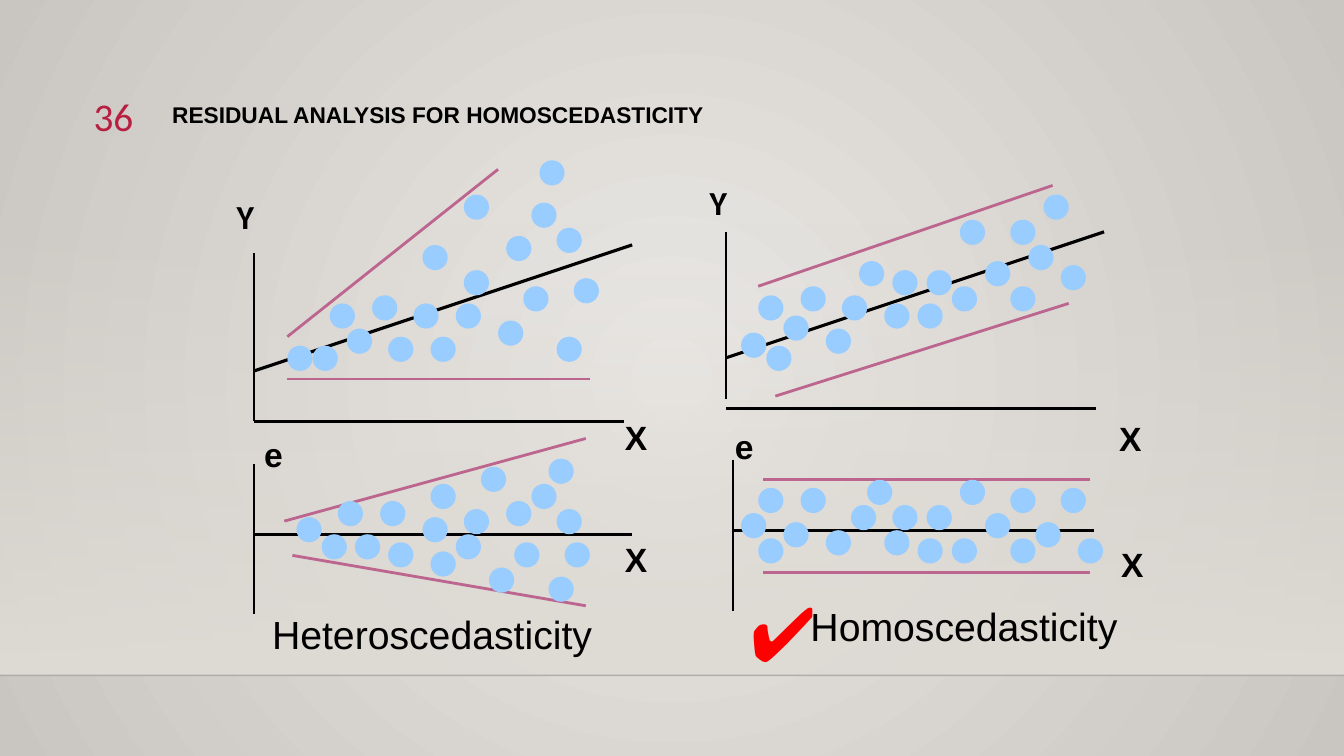
from lxml import etree
from pptx import Presentation
from pptx.dml.color import RGBColor
from pptx.enum.shapes import MSO_CONNECTOR, MSO_SHAPE
from pptx.enum.text import MSO_AUTO_SIZE, PP_ALIGN
from pptx.oxml.ns import qn
from pptx.util import Emu, Pt

LINE = MSO_CONNECTOR.STRAIGHT
OVAL, RECT = MSO_SHAPE.OVAL, MSO_SHAPE.RECTANGLE
LEFT, RIGHT = PP_ALIGN.LEFT, PP_ALIGN.RIGHT
GROW, FIXED = MSO_AUTO_SIZE.SHAPE_TO_FIT_TEXT, MSO_AUTO_SIZE.NONE

PX = 9144  # 100 px to the inch
WIDE, HIGH, FLOOR, DOT = 1333, 750, 670, 25
HUES = {
    "ink": "000000", "edge": "000001", "band": "BC658E", "dot": "99CCFF",
    "tick": "FF0000", "page": "B71E42", "wall": "DFDBD5",
    "glow": "EBE9E6", "rim": "C9C5C0",
}

# axes: (from x, y, to x, y); fit: regression line; bands: spread limits
# dots: left, top
PLOTS = [
    {  # heteroscedastic, Y against X
        "axes": [(252, 251, 252, 418), (252, 418, 619, 418)],
        "fit": [(252, 368, 627, 243)],
        "bands": [(285, 334, 494, 168), (285, 376, 585, 376)],
        "dots": [(285, 343), (327, 301), (460, 193), (494, 318), (527, 201),
                 (369, 293), (519, 284), (552, 334), (535, 159), (552, 226),
                 (502, 234), (427, 334), (460, 268), (419, 243), (310, 343),
                 (344, 326), (385, 334), (452, 301), (569, 276), (410, 301)],
    },
    {  # heteroscedastic, residuals
        "axes": [(252, 460, 252, 609), (252, 530, 627, 530)],
        "fit": [],
        "bands": [(282, 517, 581, 435), (290, 551, 581, 601)],
        "dots": [(294, 513), (427, 480), (319, 530), (335, 497), (377, 497),
                 (385, 538), (419, 513), (352, 530), (560, 538), (485, 563),
                 (502, 497), (477, 463), (460, 505), (452, 530), (427, 547),
                 (527, 480), (552, 505), (544, 455), (544, 572), (510, 538)],
    },
    {  # homoscedastic, Y against X
        "axes": [(720, 230, 720, 396), (720, 405, 1087, 405)],
        "fit": [(720, 355, 1095, 230)],
        "bands": [(752, 284, 1044, 184), (769, 393, 1060, 301)],
        "dots": [(735, 330), (752, 293), (919, 268), (944, 284), (1002, 218),
                 (794, 284), (977, 259), (1002, 284), (1020, 243), (952, 218),
                 (877, 301), (885, 268), (852, 259), (760, 343), (777, 313),
                 (819, 326), (910, 301), (1052, 263), (835, 293), (1035, 193)],
    },
    {  # homoscedastic, residuals
        "axes": [(727, 526, 1085, 526), (727, 456, 727, 606)],
        "fit": [],
        "bands": [(757, 476, 1081, 476), (757, 568, 1081, 568)],
        "dots": [(752, 484), (819, 526), (777, 518), (794, 484), (735, 509),
                 (752, 534), (952, 476), (844, 501), (860, 476), (885, 501),
                 (910, 534), (877, 526), (1002, 484), (919, 501), (944, 534),
                 (1002, 534), (977, 509), (1052, 484), (1027, 518), (1069, 534)],
    },
]

# text, box, size, font, hue, bold
CAPTIONS = [
    ("Heteroscedasticity", (260, 601, 358, 56), 28, "Arial", "ink", False),
    ("✔", (735, 576, 100, 101), 54, "Noto Sans", "tick", False),
    ("Homoscedasticity", (794, 593, 358, 56), 28, "Arial", "ink", False),
    ("Y", (225, 189, 44, 50), 24, "Calibri", "ink", True),
    ("Y", (694, 176, 44, 50), 24, "Calibri", "ink", True),
    ("e", (252, 426, 192, 50), 24, "Arial", "ink", True),
    ("e", (719, 418, 259, 50), 24, "Arial", "ink", True),
    ("X", (610, 409, 51, 50), 24, "Arial", "ink", True),
    ("X", (610, 530, 51, 50), 24, "Arial", "ink", True),
    ("X", (1100, 410, 51, 50), 24, "Arial", "ink", True),
    ("X", (1102, 535, 51, 50), 24, "Arial", "ink", True),
]
TITLE = ("RESIDUAL ANALYSIS FOR HOMOSCEDASTICITY", (161, 98, 1006, 24),
         16.2, "Arial", "ink", True)
PAGE = ("36", (53, 87, 89, 55), 28, "Calibri", "page", False)


def emu(*spans):
    return [Emu(span * PX) for span in spans]


def rgb(hue):
    return RGBColor.from_string(HUES[hue])


def fade(root, share):
    """Set the opacity, in percent, of the first plain colour under root."""
    color = next(root.iter(qn("a:srgbClr")))
    etree.SubElement(color, qn("a:alpha"), val=str(share * 1000))


def blend(fill, hues):
    fill.gradient()
    for stop, hue, place in zip(fill.gradient_stops, hues, (0, 1)):
        stop.color.rgb = rgb(hue)
        stop.position = place


def draw_line(shapes, ends, hue, width):
    line = shapes.add_connector(LINE, *emu(*ends))
    line.line.color.rgb = rgb(hue)
    line.line.width = Pt(width)
    etree.SubElement(line.element.spPr, qn("a:effectLst"))
    return line


def draw_shape(shapes, kind, box):
    shape = shapes.add_shape(kind, *emu(*box))
    shape.shadow.inherit = False
    shape.line.fill.background()
    return shape


def draw_text(shapes, item, align=LEFT, fit=GROW, pitch=None):
    text, box, size, face, hue, bold = item
    frame = shapes.add_textbox(*emu(*box)).text_frame
    frame.word_wrap = True
    frame.auto_size = fit
    frame.text = text
    para = frame.paragraphs[0]
    para.alignment = align
    if pitch:
        para.line_spacing = pitch
    font = para.runs[0].font
    font.name, font.size, font.bold = face, Pt(size), bold
    font.color.rgb = rgb(hue)


def draw_room(slide):
    """Radial backdrop, with a wall that fades in down to the floor line."""
    blend(slide.background.fill, ("glow", "rim"))
    grad = next(slide.element.iter(qn("a:gradFill")))
    for lin in grad.findall(qn("a:lin")):
        grad.remove(lin)
    ring = etree.SubElement(grad, qn("a:path"), path="circle")
    etree.SubElement(ring, qn("a:fillToRect"),
                     {side: "50000" for side in "ltrb"})

    wall = draw_shape(slide.shapes, RECT, (0, 221, WIDE, FLOOR - 221))
    blend(wall.fill, ("wall", "wall"))
    wall.fill.gradient_angle = 270
    fade(wall.element.spPr, 0)
    edge = draw_line(slide.shapes, (0, FLOOR, WIDE, FLOOR), "edge", 1)
    fade(edge.element.spPr, 20)


def draw_plot(shapes, plot):
    for part, hue, width in (("axes", "ink", 2), ("fit", "ink", 2.25),
                             ("bands", "band", 2)):
        for ends in plot[part]:
            draw_line(shapes, ends, hue, width)
    for spot in plot["dots"]:
        dot = draw_shape(shapes, OVAL, (*spot, DOT, DOT))
        dot.fill.solid()
        dot.fill.fore_color.rgb = rgb("dot")


def main():
    deck = Presentation()
    deck.slide_width, deck.slide_height = emu(WIDE, HIGH)
    slide = deck.slides.add_slide(deck.slide_layouts[6])
    shapes = slide.shapes
    draw_room(slide)
    draw_text(shapes, TITLE, fit=FIXED, pitch=0.9)
    for plot in PLOTS:
        draw_plot(shapes, plot)
    for item in CAPTIONS:
        draw_text(shapes, item)
    draw_text(shapes, PAGE, align=RIGHT, fit=FIXED)
    deck.save("out.pptx")


if __name__ == "__main__":
    main()
